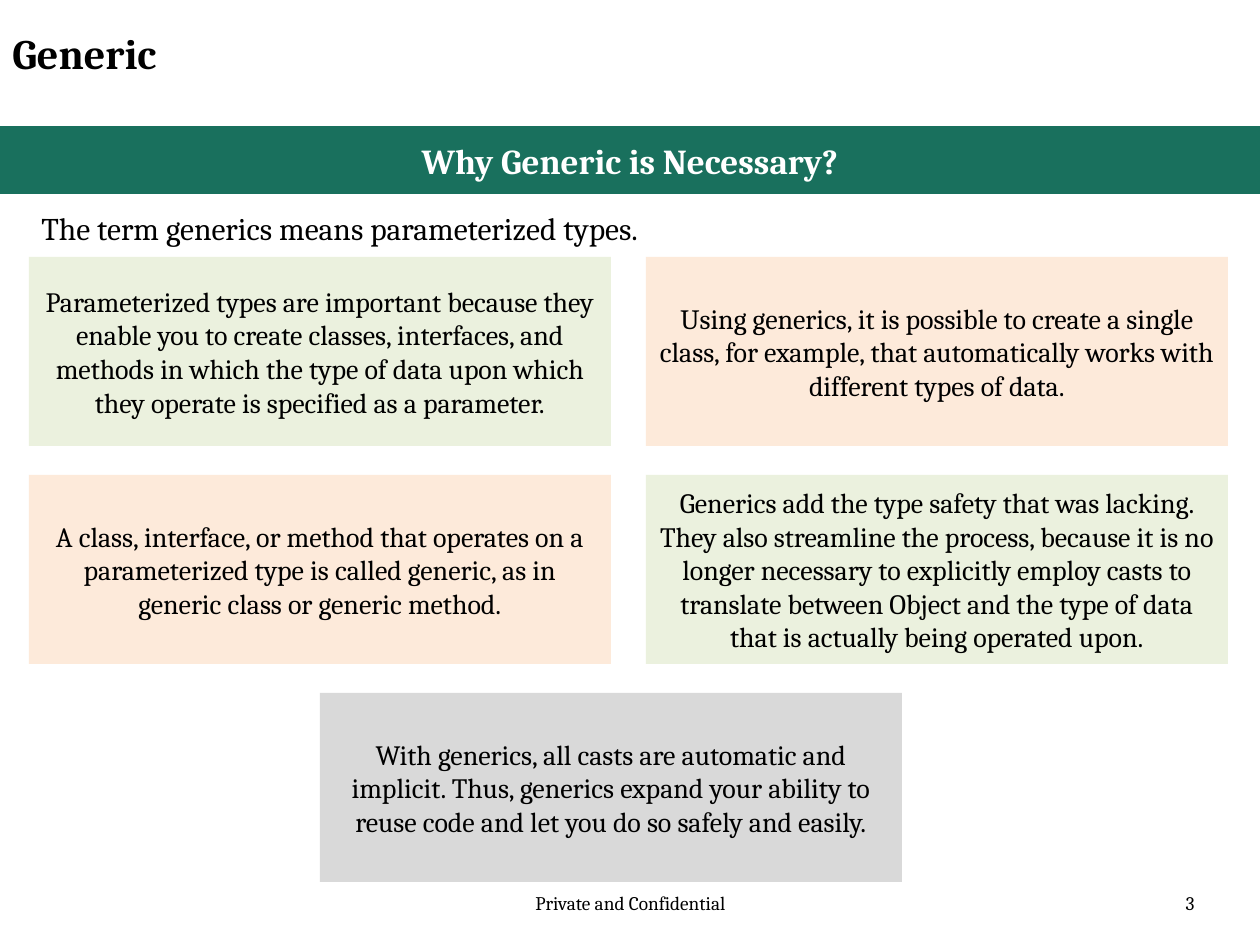
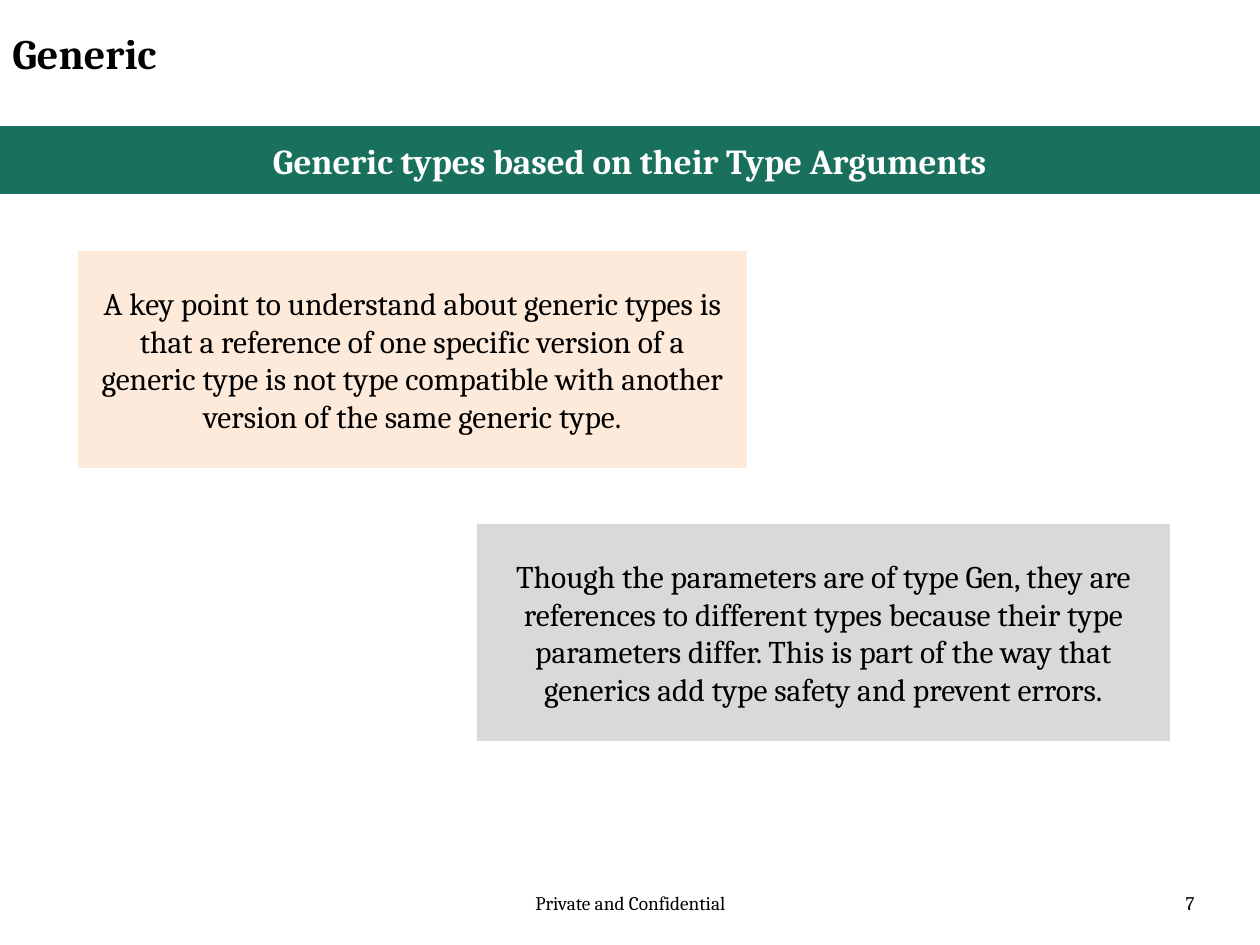
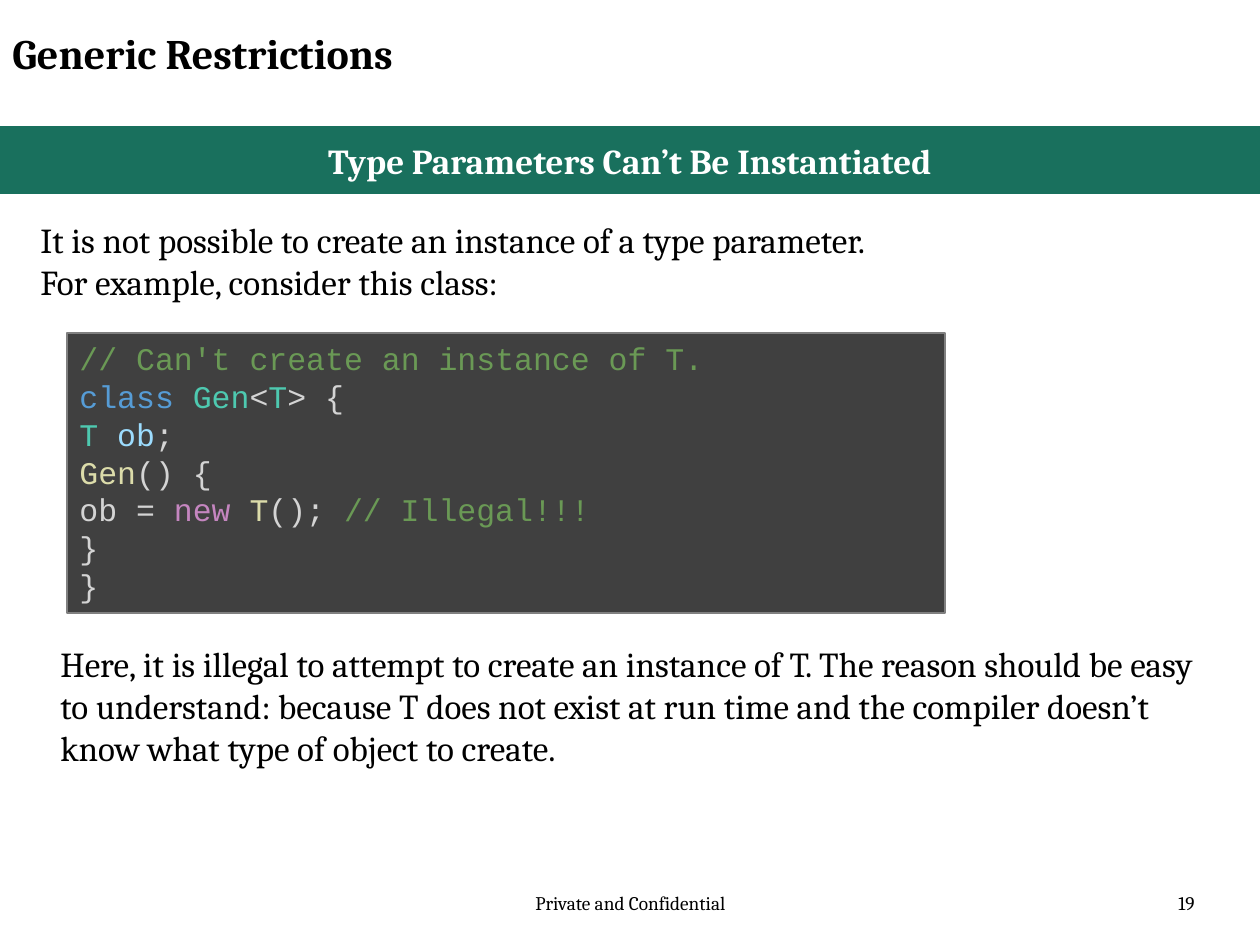
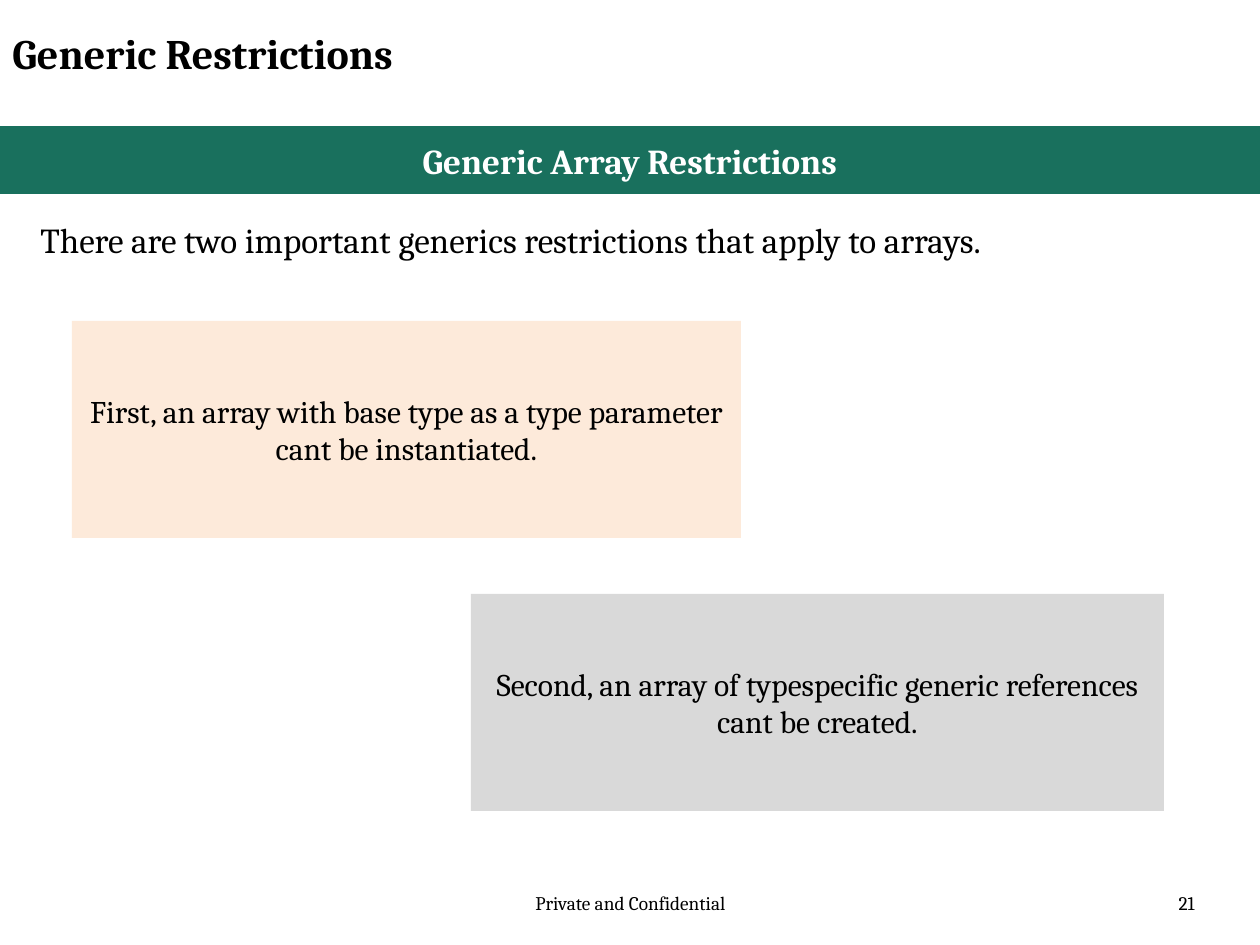
from dataclasses import dataclass

from lxml.etree import SubElement
from pptx import Presentation
from pptx.dml.color import RGBColor
from pptx.enum.shapes import MSO_SHAPE
from pptx.enum.text import MSO_ANCHOR, PP_ALIGN
from pptx.util import Inches, Pt

PX = Inches(10) / 1260


@dataclass(frozen=True)
class Theme:
    body_font: str = "Cambria"
    code_font: str = "Courier New"
    text: str = "000000"
    on_band: str = "FFFFFF"
    band: str = "19705D"
    green: str = "EBF1DE"
    peach: str = "FDEADA"
    grey: str = "D9D9D9"
    code_fill: str = "404040"
    code_border: str = "808080"
    comment: str = "6A9955"
    keyword: str = "569CD6"
    type_name: str = "4EC9B0"
    variable: str = "9CDCFE"
    function: str = "DCDCAA"
    operator: str = "C586C0"
    plain: str = "D4D4D4"
    title_size: int = 24
    large_size: int = 20
    medium_size: int = 18
    small_size: int = 16
    footer_size: int = 11


THEME = Theme()


@dataclass(frozen=True)
class Box:
    left: int
    top: int
    width: int
    height: int

    def inner(self, left, top, width, height):
        return Box(self.left + left, self.top + top, width, height)

    def emu(self):
        return [round(length * PX) for length in
                (self.left, self.top, self.width, self.height)]


PAGE = Box(0, 0, 1260, 945)
BODY = Box(0, 194, 1260, 690)

CODE = [
    [("// Can't create an instance of T.", THEME.comment)],
    [("class ", THEME.keyword), ("Gen", THEME.type_name), ("<", THEME.plain),
     ("T", THEME.type_name), ("> {", THEME.plain)],
    [("T ", THEME.type_name), ("ob", THEME.variable), (";", THEME.plain)],
    [("Gen", THEME.function), ("() {", THEME.plain)],
    [("ob = ", THEME.plain), ("new ", THEME.operator), ("T", THEME.function),
     ("(); ", THEME.plain), ("// Illegal!!!", THEME.comment)],
    [("}", THEME.plain)],
    [("}", THEME.plain)],
]


def write(frame, lines, size, font=THEME.body_font, align=PP_ALIGN.LEFT, bold=False):
    frame.word_wrap = True
    for index, line in enumerate(lines):
        paragraph = frame.add_paragraph() if index else frame.paragraphs[0]
        paragraph.alignment = align
        paragraph.font.name = font
        paragraph.font.size = Pt(size)
        paragraph.font.bold = bold
        for words, color in line:
            run = paragraph.add_run()
            run.text = words
            target = paragraph if len(line) == 1 else run
            target.font.color.rgb = RGBColor.from_string(color)


def add_text(slide, box, lines, size, **style):
    frame = slide.shapes.add_textbox(*box.emu()).text_frame
    write(frame, [[(line, THEME.text)] for line in lines], size, **style)


def add_panel(slide, box, fill):
    panel = slide.shapes.add_shape(MSO_SHAPE.RECTANGLE, *box.emu())
    panel.shadow.inherit = False
    panel.fill.solid()
    panel.fill.fore_color.rgb = RGBColor.from_string(fill)
    panel.line.fill.background()
    return panel


def add_card(slide, box, fill, words, size, color=THEME.text, bold=False):
    frame = add_panel(slide, box, fill).text_frame
    frame.vertical_anchor = MSO_ANCHOR.MIDDLE
    frame.margin_top = frame.margin_bottom = Inches(0.1)
    write(frame, [[(words, color)]], size, align=PP_ALIGN.CENTER, bold=bold)


def add_code(slide, box, lines):
    panel = add_panel(slide, box, THEME.code_fill)
    panel.line.color.rgb = RGBColor.from_string(THEME.code_border)
    panel.line.width = Pt(0.75)
    panel.text_frame.vertical_anchor = MSO_ANCHOR.TOP
    write(panel.text_frame, lines, THEME.medium_size, font=THEME.code_font)


def add_frame(deck, box, title, heading, number):
    slide = deck.slides.add_slide(deck.slide_layouts[6])
    add_text(slide, box.inner(431, 885, 399, 50), ["Private and Confidential"],
             THEME.footer_size, align=PP_ALIGN.CENTER)
    add_text(slide, box.inner(914, 885, 293, 50), [str(number)],
             THEME.footer_size, align=PP_ALIGN.RIGHT)
    add_text(slide, box.inner(0, 21, 955, 78), [title], THEME.title_size, bold=True)
    add_card(slide, box.inner(0, 126, box.width, 68), THEME.band, heading,
             THEME.large_size, THEME.on_band, bold=True)
    return slide


def add_reasons(slide, box, intro, reasons, conclusion):
    width, height, column_gap, row_gap = 582, 189, 35, 29
    grid = box.inner(29, 63, 2 * width + column_gap, 3 * height + 2 * row_gap)
    for index, reason in enumerate(reasons):
        row, column = divmod(index, 2)
        fill = THEME.green if row == column else THEME.peach
        card = grid.inner(column * (width + column_gap), row * (height + row_gap),
                          width, height)
        add_card(slide, card, fill, reason, THEME.small_size)
    last = grid.inner(291, 2 * (height + row_gap), width, height)
    add_card(slide, last, THEME.grey, conclusion, THEME.small_size)
    add_text(slide, box.inner(29, 9, 735, 50), [intro], THEME.medium_size)


def add_staggered_pair(slide, box, first, second):
    add_card(slide, box.inner(0, 0, 669, 217), THEME.peach, first, THEME.medium_size)
    add_card(slide, box.inner(399, 273, 693, 217), THEME.grey, second, THEME.medium_size)


def add_intro(slide, box, lines):
    add_text(slide, box.inner(28, 18, 1183, 13 + 42 * len(lines)), lines, THEME.large_size)


def add_code_example(slide, box, intro, code, explanation):
    add_intro(slide, box, intro)
    add_code(slide, box.inner(67, 139, 878, 280), code)
    add_text(slide, box.inner(48, 442, 1163, 140), [explanation], THEME.large_size)


def main():
    deck = Presentation()
    deck.slide_width, deck.slide_height = PAGE.emu()[2:]

    necessity = add_frame(deck, PAGE, "Generic", "Why Generic is Necessary?", 3)
    add_reasons(
        necessity, BODY, "The term generics means parameterized types.",
        ["Parameterized types are important because they enable you to create classes, "
         "interfaces, and methods in which the type of data upon which they operate is "
         "specified as a parameter.",
         "Using generics, it is possible to create a single class, for example, that "
         "automatically works with different types of data.",
         "A class, interface, or method that operates on a parameterized type is called "
         "generic, as in generic class or generic method.",
         "Generics add the type safety that was lacking. They also streamline the process, "
         "because it is no longer necessary to explicitly employ casts to translate between "
         "Object and the type of data that is actually being operated upon."],
        "With generics, all casts are automatic and implicit. Thus, generics expand your "
        "ability to reuse code and let you do so safely and easily.")

    arguments = add_frame(deck, PAGE, "Generic",
                          "Generic types based on their Type Arguments", 7)
    add_staggered_pair(
        arguments, BODY.inner(78, 57, 1092, 490),
        "A key point to understand about generic types is that a reference of one specific "
        "version of a generic type is not type compatible with another version of the same "
        "generic type.",
        "Though the parameters are of type Gen, they are references to different types "
        "because their type parameters differ. This is part of the way that generics add "
        "type safety and prevent errors.")

    instantiation = add_frame(deck, PAGE, "Generic Restrictions",
                              "Type Parameters Can’t Be Instantiated", 19)
    add_code_example(
        instantiation, BODY,
        ["It is not possible to create an instance of a type parameter.",
         "For example, consider this class:"],
        CODE,
        "Here, it is illegal to attempt to create an instance of T. The reason should be "
        "easy to understand: because T does not exist at run time and the compiler doesn’t "
        "know what type of object to create.")

    arrays = add_frame(deck, PAGE, "Generic Restrictions", "Generic Array Restrictions", 21)
    add_intro(arrays, BODY,
              ["There are two important generics restrictions that apply to arrays."])
    add_staggered_pair(
        arrays, BODY.inner(72, 127, 1092, 490),
        "First, an array with base type as a type parameter cant be instantiated.",
        "Second, an array of typespecific generic references cant be created.")

    deck.save("out.pptx")


if __name__ == "__main__":
    main()
